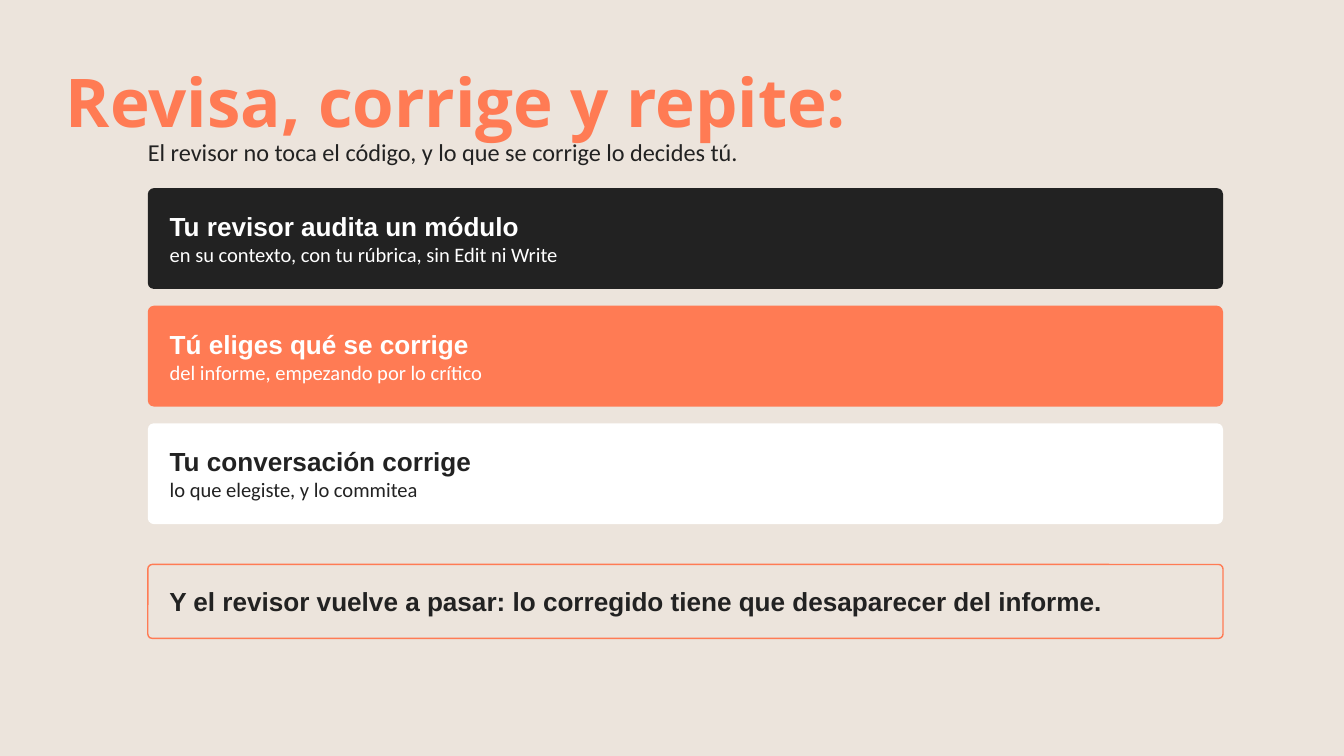
"""Builds the slide "Revisa, corrige y repite" with its three review steps."""
from dataclasses import dataclass

from pptx import Presentation
from pptx.dml.color import RGBColor
from pptx.enum.shapes import MSO_SHAPE
from pptx.enum.text import MSO_ANCHOR, MSO_AUTO_SIZE, PP_ALIGN
from pptx.util import Pt

ROUNDED = MSO_SHAPE.ROUNDED_RECTANGLE
TOP, MIDDLE = MSO_ANCHOR.TOP, MSO_ANCHOR.MIDDLE
NO_FIT = MSO_AUTO_SIZE.NONE
LEFT = PP_ALIGN.LEFT


@dataclass(frozen=True)
class Theme:
    paper: str = "ECE4DC"
    coral: str = "FF7B54"
    ink: str = "222222"
    white: str = "FFFFFF"
    title_font: str = "Open Sans"
    head_font: str = "Arial"
    body_font: str = "Calibri"
    title_size: int = 72
    lead_size: int = 26
    head_size: int = 28
    detail_size: int = 22


T = Theme()

TITLE = "Revisa, corrige y repite:"
LEAD = "El revisor no toca el código, y lo que se corrige lo decides tú."
STEPS = [
    ("Tu revisor audita un módulo",
     "en su contexto, con tu rúbrica, sin Edit ni Write", T.ink, T.white),
    ("Tú eliges qué se corrige",
     "del informe, empezando por lo crítico", T.coral, T.white),
    ("Tu conversación corrige",
     "lo que elegiste, y lo commitea", T.white, T.ink),
]
CLOSING = "Y el revisor vuelve a pasar: lo corregido tiene que desaparecer del informe."

SLIDE_W, SLIDE_H = 1440, 810
TITLE_BOX = (70.56, 49.68, 1126.8, 96.48)
COL_X, COL_W = 158.4, 1152
LEAD_Y, LEAD_H = 147.6, 36
STEP_Y, STEP_H, STEP_GAP = 201.6, 108, 18
CLOSING_Y, CLOSING_H = 604.8, 79.2
PAD_X, PAD_Y = 21.6, 7.2
CORNER = 0.06

TITLE_STYLE = dict(name=T.title_font, size=Pt(T.title_size), bold=True)
LEAD_STYLE = dict(name=T.body_font, size=Pt(T.lead_size), bold=False)
HEAD_STYLE = dict(name=T.head_font, size=Pt(T.head_size), bold=True)
DETAIL_STYLE = dict(name=T.body_font, size=Pt(T.detail_size), bold=False)


def rgb(color):
    return RGBColor.from_string(color)


def write(tf, lines, color, anchor, pad_x=0, pad_y=0):
    frame = dict(word_wrap=True, auto_size=NO_FIT, vertical_anchor=anchor,
                 margin_left=Pt(pad_x), margin_right=Pt(pad_x),
                 margin_top=Pt(pad_y), margin_bottom=Pt(pad_y))
    for key, value in frame.items():
        setattr(tf, key, value)
    for i, (text, style) in enumerate(lines):
        p = tf.paragraphs[0] if i == 0 else tf.add_paragraph()
        p.alignment = LEFT
        r = p.add_run()
        r.text = text
        for key, value in style.items():
            setattr(r.font, key, value)
        r.font.color.rgb = rgb(color)


def add_card(s, y, h, lines, color, fill=None, line=None):
    sp = s.shapes.add_shape(ROUNDED, Pt(COL_X), Pt(y), Pt(COL_W), Pt(h))
    sp.adjustments[0] = CORNER
    sp.shadow.inherit = False
    if fill:
        sp.fill.solid()
        sp.fill.fore_color.rgb = rgb(fill)
    else:
        sp.fill.background()
    if line:
        sp.line.color.rgb = rgb(line)
        sp.line.width = Pt(1.5)
    else:
        sp.line.fill.background()
    write(sp.text_frame, lines, color, MIDDLE, PAD_X, PAD_Y)


def main():
    prs = Presentation()
    prs.slide_width, prs.slide_height = Pt(SLIDE_W), Pt(SLIDE_H)
    s = prs.slides.add_slide(prs.slide_layouts[5])
    s.background.fill.solid()
    s.background.fill.fore_color.rgb = rgb(T.paper)

    title = s.shapes.title
    title.left, title.top, title.width, title.height = map(Pt, TITLE_BOX)
    write(title.text_frame, [(TITLE, TITLE_STYLE)], T.coral, TOP)
    title.text_frame.paragraphs[0].line_spacing = Pt(100.8)

    lead = s.shapes.add_textbox(Pt(COL_X), Pt(LEAD_Y), Pt(COL_W), Pt(LEAD_H))
    write(lead.text_frame, [(LEAD, LEAD_STYLE)], T.ink, TOP)

    for i, (head, detail, fill, color) in enumerate(STEPS):
        add_card(s, STEP_Y + i * (STEP_H + STEP_GAP), STEP_H,
                 [(head, HEAD_STYLE), (detail, DETAIL_STYLE)], color, fill=fill)
    add_card(s, CLOSING_Y, CLOSING_H, [(CLOSING, HEAD_STYLE)], T.ink, line=T.coral)

    prs.save("out.pptx")


if __name__ == "__main__":
    main()
